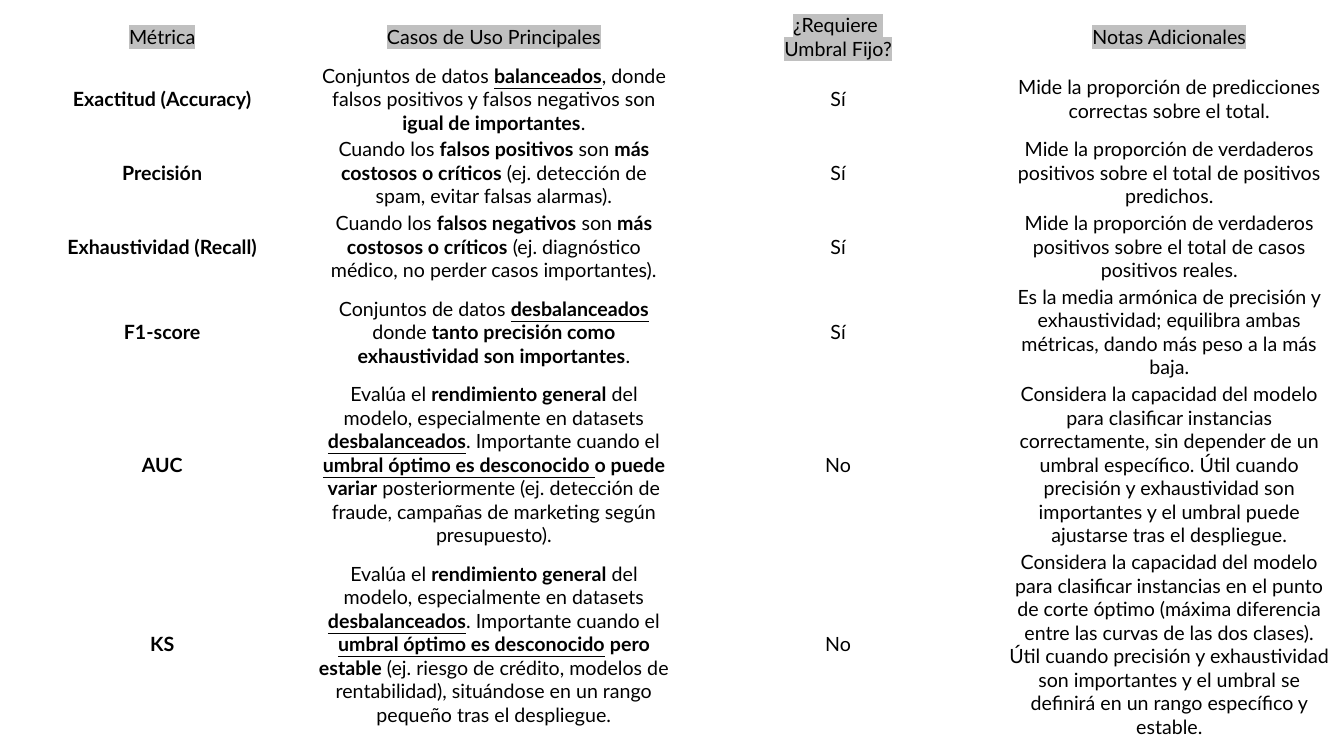
from dataclasses import dataclass

from lxml.etree import SubElement
from pptx import Presentation
from pptx.dml.color import RGBColor
from pptx.enum.text import MSO_VERTICAL_ANCHOR as Anchor, PP_PARAGRAPH_ALIGNMENT as Align
from pptx.oxml.ns import qn
from pptx.util import Emu, Pt

PIXELS_PER_INCH = 192


@dataclass(frozen=True)
class Theme:
    font: str = "Lato"
    size: int = 14
    text: str = "000000"
    highlight: str = "C0C0C0"


THEME = Theme()

# Table geometry in px; each row is as tall as its longest cell
TABLE_LEFT, TABLE_TOP = 17, 23
COLUMN_WIDTHS = [584, 680, 631, 631]
ROW_LINES = [2, 3, 3, 3, 4, 7, 8]
LINE_HEIGHT = 44.8
INSET_X, INSET_Y = 6, 3

HEADERS = ["Métrica", "Casos de Uso Principales", "¿Requiere \nUmbral Fijo?", "Notas Adicionales"]

# In the cell texts, * switches bold and _ switches underline
METRICS = [
    ["*Exactitud (Accuracy)",
     "Conjuntos de datos *_balanceados*_, donde falsos positivos y falsos negativos son "
     "*igual de importantes*.",
     "Sí",
     "Mide la proporción de predicciones correctas sobre el total."],
    ["*Precisión",
     "Cuando los *falsos positivos* son *más costosos o críticos* "
     "(ej. detección de spam, evitar falsas alarmas).",
     "Sí",
     "Mide la proporción de verdaderos positivos sobre el total de positivos predichos."],
    ["*Exhaustividad (Recall)",
     "Cuando los *falsos negativos* son *más costosos o críticos* "
     "(ej. diagnóstico médico, no perder casos importantes).",
     "Sí",
     "Mide la proporción de verdaderos positivos sobre el total de casos positivos reales."],
    ["*F1-score",
     "Conjuntos de datos *_desbalanceados* _donde "
     "*tanto precisión como exhaustividad son importantes*.",
     "Sí",
     "Es la media armónica de precisión y exhaustividad; equilibra ambas métricas, "
     "dando más peso a la más baja."],
    ["*AUC",
     "Evalúa el *rendimiento general* del modelo, especialmente en datasets "
     "*_desbalanceados*_. Importante cuando el *_umbral óptimo es desconocido _o puede variar* "
     "posteriormente (ej. detección de fraude, campañas de marketing según presupuesto).",
     "No",
     "Considera la capacidad del modelo para clasificar instancias correctamente, sin depender "
     "de un umbral específico. Útil cuando precisión y exhaustividad son importantes y el "
     "umbral puede ajustarse tras el despliegue."],
    ["*KS",
     "Evalúa el *rendimiento general* del modelo, especialmente en datasets "
     "*_desbalanceados*_. Importante cuando el *_umbral óptimo es desconocido_ pero estable* "
     "(ej. riesgo de crédito, modelos de rentabilidad), situándose en un rango pequeño "
     "tras el despliegue.",
     "No",
     "Considera la capacidad del modelo para clasificar instancias en el punto de corte óptimo "
     "(máxima diferencia entre las curvas de las dos clases). Útil cuando precisión y "
     "exhaustividad son importantes y el umbral se definirá en un rango específico y estable."],
]


def px(length):
    return Emu(length * 914400 // PIXELS_PER_INCH)


def split_marks(text):
    """Yield (piece, bold, underline) for a marked text."""
    for i, bold_part in enumerate(text.split("*")):
        underline_before = text.split("*")[:i]
        marks = sum(part.count("_") for part in underline_before)
        for j, piece in enumerate(bold_part.split("_")):
            if piece:
                yield piece, i % 2 == 1, (marks + j) % 2 == 1


def add_highlight(run):
    fill = run.font._element.find(qn("a:solidFill"))
    highlight = fill.makeelement(qn("a:highlight"), {})
    SubElement(highlight, qn("a:srgbClr"), val=THEME.highlight)
    fill.addnext(highlight)


def add_marked_runs(paragraph, text, highlighted):
    paragraph.alignment = Align.CENTER
    for piece, bold, underline in split_marks(text):
        run = paragraph.add_run()
        run.text = piece
        font = run.font
        font.name, font.size = THEME.font, Pt(THEME.size)
        font.bold, font.underline = bold, underline
        font.color.rgb = RGBColor.from_string(THEME.text)
        if highlighted:
            add_highlight(run)


def fill_cell(cell, text, highlighted):
    cell.fill.background()
    cell.vertical_anchor = Anchor.MIDDLE
    cell.margin_left = cell.margin_right = px(INSET_X)
    cell.margin_top = cell.margin_bottom = px(INSET_Y)
    frame = cell.text_frame
    for i, line in enumerate(text.split("\n")):
        paragraph = frame.add_paragraph() if i else frame.paragraphs[0]
        add_marked_runs(paragraph, line, highlighted)


def add_metrics_table(slide, rows):
    heights = [int(lines * LINE_HEIGHT) + 2 * INSET_Y for lines in ROW_LINES]
    shape = slide.shapes.add_table(
        len(rows), len(COLUMN_WIDTHS), px(TABLE_LEFT), px(TABLE_TOP),
        px(sum(COLUMN_WIDTHS)), px(sum(heights)))
    table = shape.table
    table.first_row = table.horz_banding = False
    for column, width in zip(table.columns, COLUMN_WIDTHS):
        column.width = px(width)
    for i, (row, height, texts) in enumerate(zip(table.rows, heights, rows)):
        row.height = px(height)
        for cell, text in zip(row.cells, texts):
            fill_cell(cell, text, highlighted=i == 0)


def main():
    presentation = Presentation()
    presentation.slide_width, presentation.slide_height = px(2560), px(1440)
    slide = presentation.slides.add_slide(presentation.slide_layouts[6])
    add_metrics_table(slide, [HEADERS, *METRICS])
    presentation.save("out.pptx")


if __name__ == "__main__":
    main()
